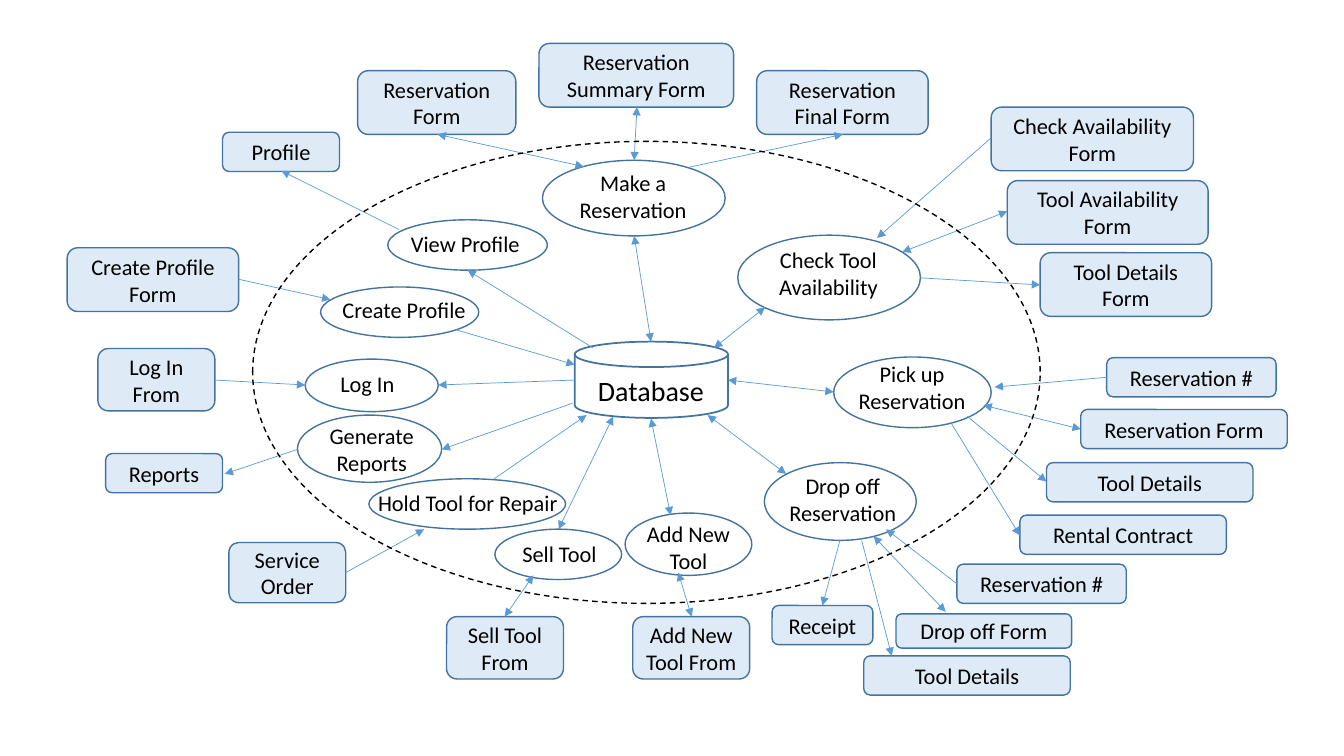
import pptx
import pptx.util
import pptx.dml.color
import pptx.enum.dml
import pptx.enum.shapes
import pptx.enum.text
import pptx.oxml.ns
import lxml.etree

Pt = pptx.util.Pt
RGB = pptx.dml.color.RGBColor.from_string
KIND = pptx.enum.shapes.MSO_SHAPE
ALIGN = pptx.enum.text.PP_ALIGN
qn = pptx.oxml.ns.qn

theme = {
    "font": "Calibri", "size": 16, "big": 20,
    "ink": "000000", "edge": "43739E", "fill": "DEEBF7", "flow": "5B9BD5",
    "thin": 0.5, "line": 1, "thick": 1.25,
}

deck = pptx.Presentation()
deck.slide_width, deck.slide_height = Pt(960), Pt(540)
slide = deck.slides.add_slide(deck.slide_layouts[6])
shapes = slide.shapes


def add_form(kind, spot, fill=None, edge="edge", width="line"):
    form = shapes.add_shape(kind, *[Pt(v) for v in spot])
    form.shadow.inherit = False
    if fill:
        form.fill.solid()
        form.fill.fore_color.rgb = RGB(theme[fill])
    else:
        form.fill.background()
    form.line.color.rgb = RGB(theme[edge])
    form.line.width = Pt(theme[width])
    return form


def add_words(form, words, align, size="size"):
    para = form.text_frame.paragraphs[0]
    para.alignment = align
    run = para.add_run()
    run.text = words
    run.font.name = theme["font"]
    run.font.size = Pt(theme[size])
    run.font.color.rgb = RGB(theme["ink"])


# Database and processes: outline kind, outline spot, words, label spot
disk, oval = KIND.FLOWCHART_MAGNETIC_DISK, KIND.OVAL
nodes = [
    (disk, (410.5, 244, 109.5, 54.5), "Database", (420, 263, 91.5, 31.5)),
    (oval, (218, 256.5, 95, 37.5), "Log In", (236, 260.5, 54, 26.5)),
    (oval, (229, 205, 113, 36), "Create Profile", (237.5, 208, 103.5, 26.5)),
    (oval, (277, 157, 114, 36), "View Profile", (286.5, 160.5, 93.5, 26.5)),
    (oval, (387.5, 114.5, 130.5, 54), "Make a Reservation", (396.5, 117.5, 111.5, 46)),
    (oval, (527, 168, 130.5, 60.5), "Check Tool Availability", (533.5, 172, 116.5, 46)),
    (oval, (595.5, 255, 112.5, 50.5), "Pick up Reservation", (592.5, 253.5, 118, 46)),
    (oval, (546, 330.5, 108.5, 55.5), "Drop off Reservation", (551.5, 334, 101, 46)),
    (oval, (446.5, 366.5, 90.5, 44.5), "Add New Tool", (451.5, 368, 80.5, 46)),
    (oval, (353.5, 378, 90.5, 36), "Sell Tool", (366, 382.5, 68.5, 26.5)),
    (oval, (263.5, 342, 140.5, 36), "Hold Tool for Repair", (263, 345.5, 144.5, 26.5)),
    (oval, (212.5, 296.5, 103, 48), "Generate Reports", (222, 298, 87, 46)),
]
for kind, spot, words, place in nodes:
    hub = kind == disk
    add_form(kind, spot, width="thick" if hub else "line")
    label = shapes.add_textbox(*[Pt(v) for v in place])
    wraps = place[3] > 40
    label.text_frame.word_wrap = wraps
    label.text_frame.auto_size = pptx.enum.text.MSO_AUTO_SIZE.SHAPE_TO_FIT_TEXT
    add_words(label, words, ALIGN.CENTER if wraps else ALIGN.LEFT,
              "big" if hub else "size")

# Forms and papers around the system
cards = [
    ("Log In From", 70, 249, 83.5, 44.5),
    ("Create Profile Form", 48, 177, 122.5, 45.5),
    ("Profile", 159, 94.5, 83.5, 28),
    ("Reservation Form", 255.5, 50.5, 113, 45.5),
    ("Reservation Summary Form", 385, 31, 139, 45.5),
    ("Reservation Final Form", 540.5, 50.5, 122.5, 45.5),
    ("Check Availability Form", 708, 76.5, 144.5, 45.5),
    ("Tool Availability Form", 719.5, 129, 143.5, 45.5),
    ("Tool Details Form", 743, 180.5, 122.5, 45.5),
    ("Reservation #", 790.5, 255.5, 121, 28),
    ("Reservation Form", 772, 292.5, 147.5, 28),
    ("Tool Details", 747.5, 330.5, 147.5, 28),
    ("Rental Contract", 728.5, 368, 147.5, 28),
    ("Drop off Form", 640, 438.5, 125.5, 24.5),
    ("Receipt", 551.5, 432.5, 72, 28),
    ("Add New Tool From", 452, 440.5, 83.5, 44.5),
    ("Sell Tool From", 319, 440.5, 83.5, 44.5),
    ("Service Order", 163.5, 387.5, 83.5, 43),
    ("Reports", 75.5, 324, 83.5, 28),
    ("Reservation #", 683.5, 403, 121, 28),
    ("Tool Details", 617, 468.5, 147.5, 28),
]
for words, *spot in cards:
    card = add_form(KIND.ROUNDED_RECTANGLE, spot, fill="fill")
    card.text_frame.word_wrap = True
    card.text_frame.vertical_anchor = pptx.enum.text.MSO_ANCHOR.MIDDLE
    add_words(card, words, ALIGN.CENTER)

# Flows: start x, y, end x, y
one_way = [
    (410.5, 271.5, 313, 275), (153.5, 271.5, 218, 275),
    (170.5, 199.5, 236, 214), (325.5, 235.5, 410.5, 260.5),
    (423.5, 248.5, 334, 193), (285, 164, 201, 122),
    (492, 119.5, 602, 96), (708, 98.5, 626.5, 170),
    (657.5, 198.5, 743, 203.5), (790.5, 269.5, 710.5, 276.5),
    (691, 297.5, 747.5, 344), (600, 386, 587.5, 432.5),
    (247, 409, 303, 378), (353, 342, 419, 296.5),
    (409, 288, 315.5, 321), (212.5, 321, 160.5, 338.5),
    (615.5, 386, 637, 468.5), (683.5, 417, 633, 378),
    (679, 301.5, 728.5, 382.5),
]
two_way = [
    (465, 244, 453, 168.5), (312.5, 96, 417, 119),
    (455, 76.5, 453, 114.5), (510, 248.5, 546.5, 219.5),
    (644.5, 180, 719.5, 151), (520, 271.5, 595.5, 280),
    (702.5, 289.5, 772, 306.5), (505.5, 296.5, 561.5, 338.5),
    (624, 383, 675.5, 437), (465, 299, 479, 368),
    (484.5, 409, 494, 440.5), (438, 297.5, 399, 378),
    (381, 411, 360.5, 440.5),
]
for flows, ends in ((one_way, ["tailEnd"]), (two_way, ["headEnd", "tailEnd"])):
    for flow in flows:
        link = shapes.add_connector(pptx.enum.shapes.MSO_CONNECTOR.STRAIGHT,
                                    *[Pt(v) for v in flow])
        link.line.color.rgb = RGB(theme["flow"])
        link.line.width = Pt(theme["thin"])
        props = link.line._get_or_add_ln()
        for end in ends:
            lxml.etree.SubElement(props, qn("a:" + end), type="triangle")
        lxml.etree.SubElement(props.getparent(), qn("a:effectLst"))

# System boundary
bound = add_form(oval, (180.5, 101, 562.5, 330), edge="ink")
bound.line.dash_style = pptx.enum.dml.MSO_LINE.DASH

deck.save("out.pptx")
